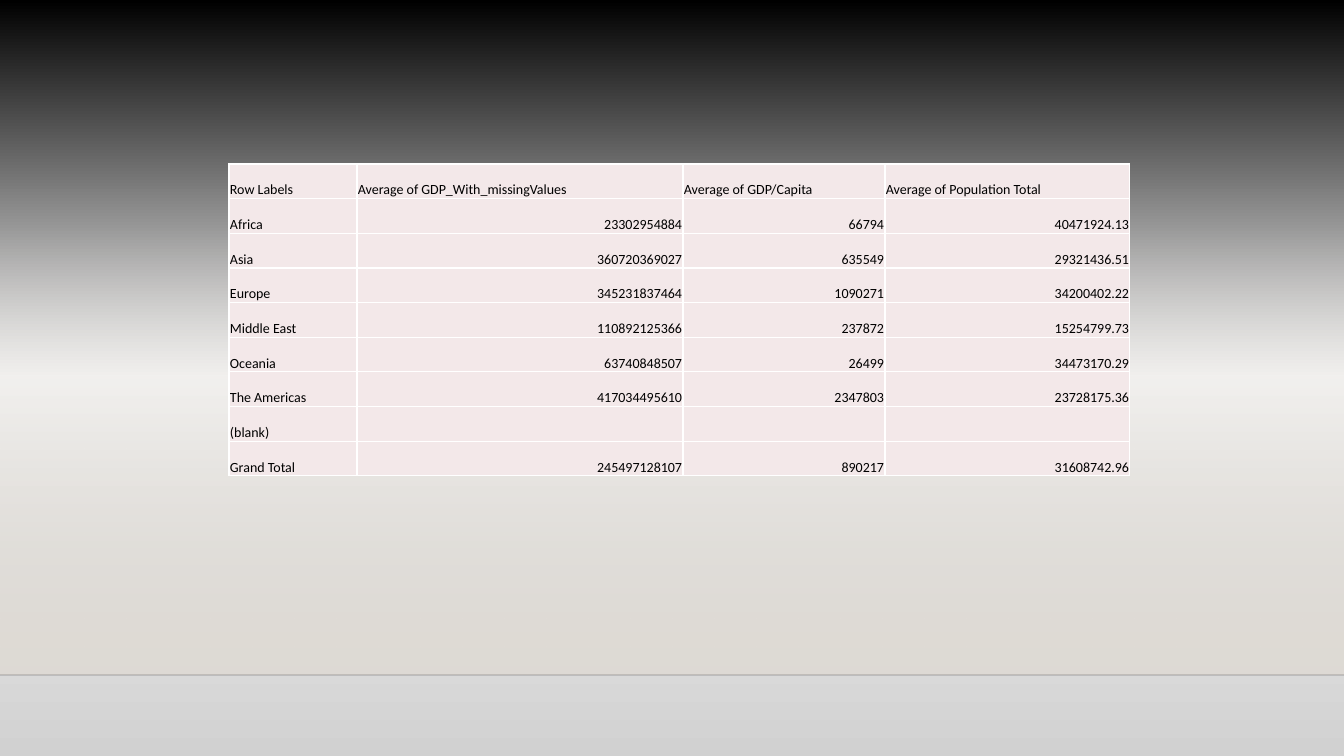
import dataclasses

import lxml.etree
import pptx
import pptx.dml.color
import pptx.dml.fill
import pptx.enum.shapes
import pptx.enum.text
import pptx.oxml.ns
import pptx.oxml.xmlchemy
import pptx.shapes.base
import pptx.slide
import pptx.table
import pptx.util

EMU_PER_PX = 914400 / 100.8
SLIDE_WIDTH, SLIDE_HEIGHT = 1344, 756
FLOOR_TOP, FLOOR_LINE = 223, 675
TABLE_LEFT, TABLE_TOP, TABLE_HEIGHT = 229, 164, 312
COLUMN_WIDTHS = (128, 326, 202, 245)
CELL_FILL, BORDER_COLOR, TEXT_COLOR = "F3E8E9", "FFFFFF", "000000"

ROWS = (
    ("Row Labels", "Average of GDP_With_missingValues", "Average of GDP/Capita",
     "Average of Population Total"),
    ("Africa", "23302954884", "66794", "40471924.13"),
    ("Asia", "360720369027", "635549", "29321436.51"),
    ("Europe", "345231837464", "1090271", "34200402.22"),
    ("Middle East", "110892125366", "237872", "15254799.73"),
    ("Oceania", "63740848507", "26499", "34473170.29"),
    ("The Americas", "417034495610", "2347803", "23728175.36"),
    ("(blank)", "", "", ""),
    ("Grand Total", "245497128107", "890217", "31608742.96"),
)


@dataclasses.dataclass(frozen=True)
class Stop:
    position: int
    color: str
    opacity: int = 100


BACKDROP_STOPS = (Stop(0, "000000"), Stop(50, "FBFBFB"), Stop(100, "D1D1D1"))
FLOOR_STOPS = (Stop(0, "DFDBD5", 0), Stop(100, "DFDBD5"))


def px(length: int) -> pptx.util.Emu:
    return pptx.util.Emu(round(length * EMU_PER_PX))


def rgb(color: str) -> pptx.dml.color.RGBColor:
    return pptx.dml.color.RGBColor.from_string(color)


def add_element(parent: lxml.etree.ElementBase, tag: str, **attributes: str) -> lxml.etree.ElementBase:
    element = lxml.etree.SubElement(parent, pptx.oxml.ns.qn(tag))
    for name, value in attributes.items():
        element.set(name, value)
    return element


def add_color(parent: lxml.etree.ElementBase, color: str, opacity: int = 100) -> None:
    color_element = add_element(parent, "a:srgbClr", val=color)
    if opacity < 100:
        add_element(color_element, "a:alpha", val=str(opacity * 1000))


def fill_downwards(fill: pptx.dml.fill.FillFormat, owner: lxml.etree.ElementBase,
                   stops: tuple[Stop, ...]) -> None:
    """Give the fill a top-to-bottom gradient; owner is the element that holds it."""
    fill.gradient()
    fill.gradient_angle = 270
    stop_list = next(owner.iter(pptx.oxml.ns.qn("a:gsLst")))
    for old_stop in list(stop_list):
        stop_list.remove(old_stop)
    for stop in stops:
        add_color(add_element(stop_list, "a:gs", pos=str(stop.position * 1000)),
                  stop.color, stop.opacity)


def add_floor(page: pptx.slide.Slide) -> None:
    floor = page.shapes.add_shape(
        pptx.enum.shapes.MSO_SHAPE.RECTANGLE,
        0, px(FLOOR_TOP), px(SLIDE_WIDTH), px(FLOOR_LINE - FLOOR_TOP))
    floor.shadow.inherit = False
    floor.line.fill.background()
    fill_downwards(floor.fill, floor.element, FLOOR_STOPS)

    edge = page.shapes.add_connector(
        pptx.enum.shapes.MSO_CONNECTOR.STRAIGHT,
        0, px(FLOOR_LINE), px(SLIDE_WIDTH), px(FLOOR_LINE))
    edge.line.width = pptx.util.Pt(1)
    edge.line.color.rgb = rgb("000001")
    edge_color = next(edge.element.iter(pptx.oxml.ns.qn("a:srgbClr")))
    add_element(edge_color, "a:alpha", val="20000")
    add_element(edge.element.spPr, "a:effectLst")


def format_cell(cell: pptx.table._Cell, text: str, is_number: bool) -> None:
    properties = cell._tc.get_or_add_tcPr()
    for side in ("a:lnL", "a:lnR", "a:lnT", "a:lnB"):
        border = add_element(properties, side, w=str(pptx.util.Pt(1)))
        add_color(add_element(border, "a:solidFill"), BORDER_COLOR)
    cell.fill.solid()
    cell.fill.fore_color.rgb = rgb(CELL_FILL)
    cell.margin_left = cell.margin_right = cell.margin_top = px(1)
    cell.margin_bottom = 0
    cell.vertical_anchor = pptx.enum.text.MSO_ANCHOR.BOTTOM

    para = cell.text_frame.paragraphs[0]
    para.text = text
    if is_number:
        para.alignment = pptx.enum.text.PP_ALIGN.RIGHT
    for span in para.runs:
        span.font.name = "Calibri"
        span.font.size = pptx.util.Pt(10)
        span.font.color.rgb = rgb(TEXT_COLOR)


def add_averages_table(page: pptx.slide.Slide) -> None:
    table = page.shapes.add_table(
        len(ROWS), len(COLUMN_WIDTHS), px(TABLE_LEFT), px(TABLE_TOP),
        px(sum(COLUMN_WIDTHS)), px(TABLE_HEIGHT)).table
    table.first_row = False
    table.horz_banding = False
    for column, width in zip(table.columns, COLUMN_WIDTHS):
        column.width = px(width)
    for row_index, texts in enumerate(ROWS):
        for column_index, text in enumerate(texts):
            format_cell(table.cell(row_index, column_index), text,
                        is_number=row_index > 0 and column_index > 0)


def main() -> None:
    deck = pptx.Presentation()
    deck.slide_width, deck.slide_height = px(SLIDE_WIDTH), px(SLIDE_HEIGHT)
    page = deck.slides.add_slide(deck.slide_layouts[6])
    fill_downwards(page.background.fill, page.element, BACKDROP_STOPS)
    add_floor(page)
    add_averages_table(page)
    deck.save("out.pptx")


if __name__ == "__main__":
    main()
